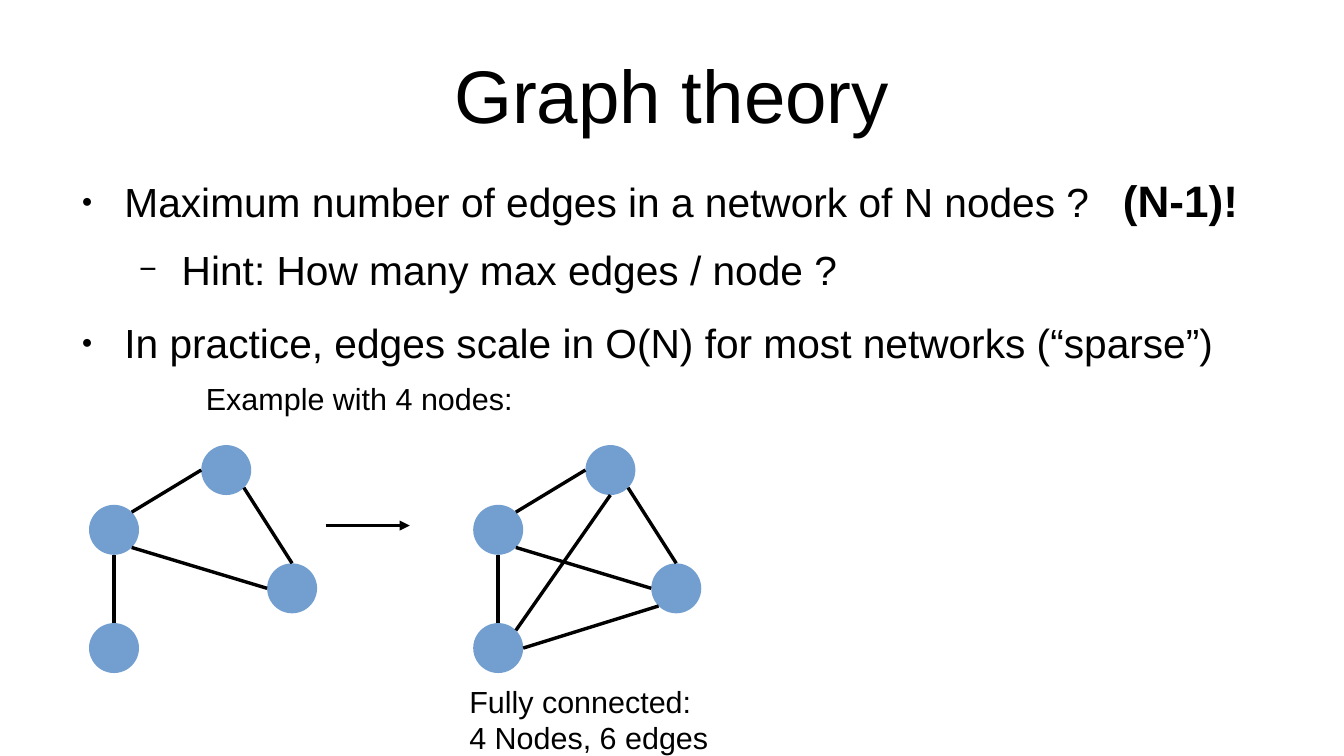
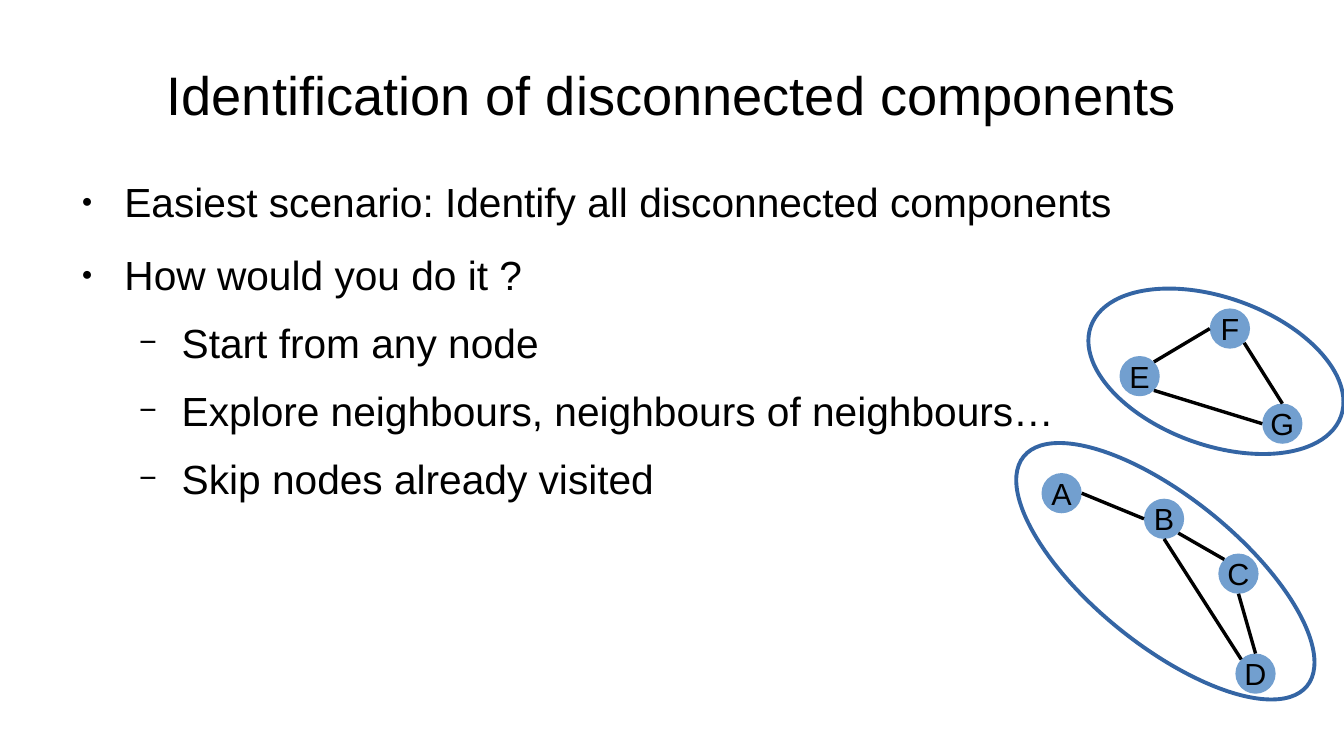
"""Build two slides on graph theory with node-and-edge diagrams."""
import enum
import math
from dataclasses import dataclass

import lxml.etree
import pptx
import pptx.dml.color
import pptx.enum.shapes
import pptx.enum.text
import pptx.oxml.ns
import pptx.presentation
import pptx.shapes.autoshape
import pptx.shapes.connector
import pptx.slide
import pptx.text.text
import pptx.util

Inches = pptx.util.Inches
FONT = "Arial"
INK = "000000"
NODE_FILL = "729FCF"
RING_LINE = "3465A4"


class Side(enum.Enum):
    """Angle in degrees, clockwise from east, of a point on a node's rim."""

    EAST = 0
    SOUTH_EAST = 45
    SOUTH = 90
    SOUTH_WEST = 135
    WEST = 180
    NORTH_WEST = 225
    NORTH = 270
    NORTH_EAST = 315


@dataclass(frozen=True)
class Edge:
    """A line from one node's rim to another's."""

    start: str
    start_side: Side
    end: str
    end_side: Side


@dataclass(frozen=True)
class Graph:
    """Nodes by name, each with its left and top, and their edges."""

    nodes: dict[str, tuple[float, float]]
    edges: list[Edge]
    diameter: float
    labelled: bool = False


@dataclass(frozen=True)
class Bullet:
    """A list entry with its outline level."""

    text: str
    level: int = 0


@dataclass(frozen=True)
class BulletStyle:
    """Look of one outline level."""

    mark: str
    size_percent: int
    margin: float
    space_before: float


@dataclass(frozen=True)
class Caption:
    """A free text box."""

    lines: list[str]
    left: float
    top: float
    width: float
    height: float
    size: float = 18
    bold: bool = False


@dataclass(frozen=True)
class Ring:
    """A rotated outline around a component."""

    left: float
    top: float
    width: float
    height: float
    rotation: float


BULLET_STYLES = [BulletStyle("●", 45, 0.47, 14.2), BulletStyle("−", 75, 0.94, 11.3)]
HANGING = -0.35

PRACTICE_NODES = {
    "left": (0.73, 4.14),
    "bottom": (0.73, 5.11),
    "right": (2.19, 4.62),
    "top": (1.65, 3.65),
}
PRACTICE_EDGES = [
    Edge("left", Side.NORTH_EAST, "top", Side.WEST),
    Edge("left", Side.SOUTH_EAST, "right", Side.WEST),
    Edge("top", Side.SOUTH_EAST, "right", Side.NORTH),
    Edge("left", Side.SOUTH, "bottom", Side.NORTH),
]
MISSING_EDGES = [
    Edge("top", Side.SOUTH, "bottom", Side.NORTH_EAST),
    Edge("bottom", Side.EAST, "right", Side.SOUTH_WEST),
]
FULL_GRAPH_SHIFT = 3.15
SPARSE_GRAPH = Graph(PRACTICE_NODES, PRACTICE_EDGES, 0.41)
FULL_GRAPH = Graph(
    {name: (left + FULL_GRAPH_SHIFT, top) for name, (left, top) in PRACTICE_NODES.items()},
    PRACTICE_EDGES + MISSING_EDGES,
    0.41,
)
COMPONENTS = Graph(
    {
        "A": (8.54, 3.88),
        "B": (9.38, 4.09),
        "C": (9.99, 4.54),
        "D": (10.13, 5.36),
        "E": (9.18, 2.92),
        "F": (9.92, 2.53),
        "G": (10.35, 3.31),
    },
    [
        Edge("A", Side.EAST, "B", Side.WEST),
        Edge("B", Side.SOUTH_EAST, "C", Side.NORTH_WEST),
        Edge("C", Side.SOUTH, "D", Side.NORTH),
        Edge("B", Side.SOUTH, "D", Side.NORTH_WEST),
        Edge("E", Side.NORTH_EAST, "F", Side.WEST),
        Edge("E", Side.SOUTH_EAST, "G", Side.WEST),
        Edge("F", Side.SOUTH_EAST, "G", Side.NORTH),
    ],
    0.33,
    labelled=True,
)
RINGS = [Ring(8.06, 4.08, 2.99, 1.21, 39), Ring(8.88, 2.44, 2.18, 1.21, 19.8)]
CAPTIONS = [
    Caption(["Example with 4 nodes:"], 1.59, 3.07, 3.12, 0.38),
    Caption(["Fully connected:", "4 Nodes, 6 edges"], 3.75, 5.55, 2.33, 0.68),
    Caption(["(N-1)!"], 9.11, 1.37, 1.27, 0.5, size=26, bold=True),
]


def colour(value: str) -> pptx.dml.color.RGBColor:
    """Turn a hex string into a colour."""
    return pptx.dml.color.RGBColor.from_string(value)


def add_child(parent: lxml.etree._Element, tag: str, **attributes: str) -> lxml.etree._Element:
    """Append a drawing element to its parent."""
    return lxml.etree.SubElement(parent, pptx.oxml.ns.qn(tag), attributes)


def add_span(para: pptx.text.text._Paragraph, text: str, size: float, bold: bool = False) -> None:
    """Add one formatted run."""
    span = para.add_run()
    span.text = text
    span.font.name = FONT
    span.font.size = pptx.util.Pt(size)
    span.font.bold = bold
    span.font.color.rgb = colour(INK)


def next_para(frame: pptx.text.text.TextFrame, index: int) -> pptx.text.text._Paragraph:
    """Return the first paragraph, or a new one after it."""
    return frame.add_paragraph() if index else frame.paragraphs[0]


def prepare_placeholder(box: pptx.shapes.autoshape.Shape, top: float, width: float, height: float) -> None:
    """Move a placeholder and clear its insets."""
    box.left, box.top = Inches(0.55), Inches(top)
    box.width, box.height = Inches(width), Inches(height)
    frame = box.text_frame
    frame.margin_left = frame.margin_top = frame.margin_right = frame.margin_bottom = 0
    frame.word_wrap = True
    frame.auto_size = pptx.enum.text.MSO_AUTO_SIZE.NONE


def add_bullet(para: pptx.text.text._Paragraph, bullet: Bullet, first: bool) -> None:
    """Fill a paragraph as a list entry."""
    style = BULLET_STYLES[bullet.level]
    para.level = bullet.level
    properties = para._p.get_or_add_pPr()
    properties.set("marL", str(Inches(style.margin)))
    properties.set("indent", str(Inches(HANGING)))
    add_child(add_child(properties, "a:buClr"), "a:srgbClr", val=INK)
    add_child(properties, "a:buSzPct", val=str(style.size_percent * 1000))
    add_child(properties, "a:buFont", typeface=FONT)
    add_child(properties, "a:buChar", char=style.mark)
    para.space_before = pptx.util.Pt(0 if first else style.space_before)
    add_span(para, bullet.text, 24)


def add_page(
    deck: pptx.presentation.Presentation,
    title: str,
    title_size: float,
    bullets: list[Bullet],
    body_width: float = 9.92,
) -> pptx.slide.Slide:
    """Add a slide with its title and list."""
    page = deck.slides.add_slide(deck.slide_layouts[1])
    heading, body = page.shapes.title, page.placeholders[1]
    prepare_placeholder(heading, 0.25, 9.92, 1.04)
    heading.text_frame.vertical_anchor = pptx.enum.text.MSO_ANCHOR.MIDDLE
    para = heading.text_frame.paragraphs[0]
    para.alignment = pptx.enum.text.PP_ALIGN.CENTER
    add_span(para, title, title_size)
    prepare_placeholder(body, 1.45, body_width, 3.6)
    for index, bullet in enumerate(bullets):
        add_bullet(next_para(body.text_frame, index), bullet, index == 0)
    return page


def add_line(
    page: pptx.slide.Slide, start: tuple[float, float], end: tuple[float, float]
) -> pptx.shapes.connector.Connector:
    """Draw a straight hairline."""
    kind = pptx.enum.shapes.MSO_CONNECTOR.STRAIGHT
    line = page.shapes.add_connector(kind, *(Inches(value) for value in start + end))
    line.line.color.rgb = colour(INK)
    line.line.width = 0
    add_child(line._element.spPr, "a:effectLst")
    return line


def add_oval(
    page: pptx.slide.Slide, left: float, top: float, width: float, height: float
) -> pptx.shapes.autoshape.Shape:
    """Add an ellipse without shadow."""
    kind = pptx.enum.shapes.MSO_SHAPE.OVAL
    oval = page.shapes.add_shape(kind, Inches(left), Inches(top), Inches(width), Inches(height))
    oval.shadow.inherit = False
    return oval


def add_graph(page: pptx.slide.Slide, graph: Graph) -> None:
    """Draw the nodes and edges of a graph."""
    radius = graph.diameter / 2
    for name, (left, top) in graph.nodes.items():
        node = add_oval(page, left, top, graph.diameter, graph.diameter)
        node.fill.solid()
        node.fill.fore_color.rgb = colour(NODE_FILL)
        node.line.fill.background()
        if graph.labelled:
            frame = node.text_frame
            frame.word_wrap = False
            frame.vertical_anchor = pptx.enum.text.MSO_ANCHOR.MIDDLE
            frame.paragraphs[0].alignment = pptx.enum.text.PP_ALIGN.CENTER
            add_span(frame.paragraphs[0], name, 18)

    def rim_point(name: str, side: Side) -> tuple[float, float]:
        """Locate a point on a node's rim."""
        left, top = graph.nodes[name]
        angle = math.radians(side.value)
        return left + radius * (1 + math.cos(angle)), top + radius * (1 + math.sin(angle))

    for edge in graph.edges:
        add_line(page, rim_point(edge.start, edge.start_side), rim_point(edge.end, edge.end_side))


def add_caption(page: pptx.slide.Slide, caption: Caption) -> None:
    """Add a free text box."""
    bounds = (caption.left, caption.top, caption.width, caption.height)
    box = page.shapes.add_textbox(*(Inches(value) for value in bounds))
    box.text_frame.word_wrap = True
    for index, text in enumerate(caption.lines):
        add_span(next_para(box.text_frame, index), text, caption.size, caption.bold)


def add_ring(page: pptx.slide.Slide, ring: Ring) -> None:
    """Outline a connected component."""
    oval = add_oval(page, ring.left, ring.top, ring.width, ring.height)
    oval.rotation = ring.rotation
    oval.fill.background()
    oval.line.color.rgb = colour(RING_LINE)
    oval.line.width = pptx.util.Pt(2.3)


def main() -> None:
    """Build and save the deck."""
    deck = pptx.Presentation()
    deck.slide_width, deck.slide_height = Inches(11.02), Inches(6.2)

    page = add_page(deck, "Graph theory", 44, [
        Bullet("Maximum number of edges in a network of N nodes ?"),
        Bullet("Hint: How many max edges / node ?", 1),
        Bullet("In practice, edges scale in O(N) for most networks (“sparse”)"),
    ])
    add_graph(page, SPARSE_GRAPH)
    arrow = add_line(page, (2.67, 4.31), (3.36, 4.31))
    add_child(arrow.line._get_or_add_ln(), "a:tailEnd", type="triangle")
    add_graph(page, FULL_GRAPH)
    for caption in CAPTIONS:
        add_caption(page, caption)

    page = add_page(deck, "Identification of disconnected components", 32, [
        Bullet("Easiest scenario: Identify all disconnected components"),
        Bullet("How would you do it ?"),
        Bullet("Start from any node", 1),
        Bullet("Explore neighbours, neighbours of neighbours…", 1),
        Bullet("Skip nodes already visited", 1),
    ], body_width=10.06)
    add_graph(page, COMPONENTS)
    for ring in RINGS:
        add_ring(page, ring)

    deck.save("out.pptx")


if __name__ == "__main__":
    main()
